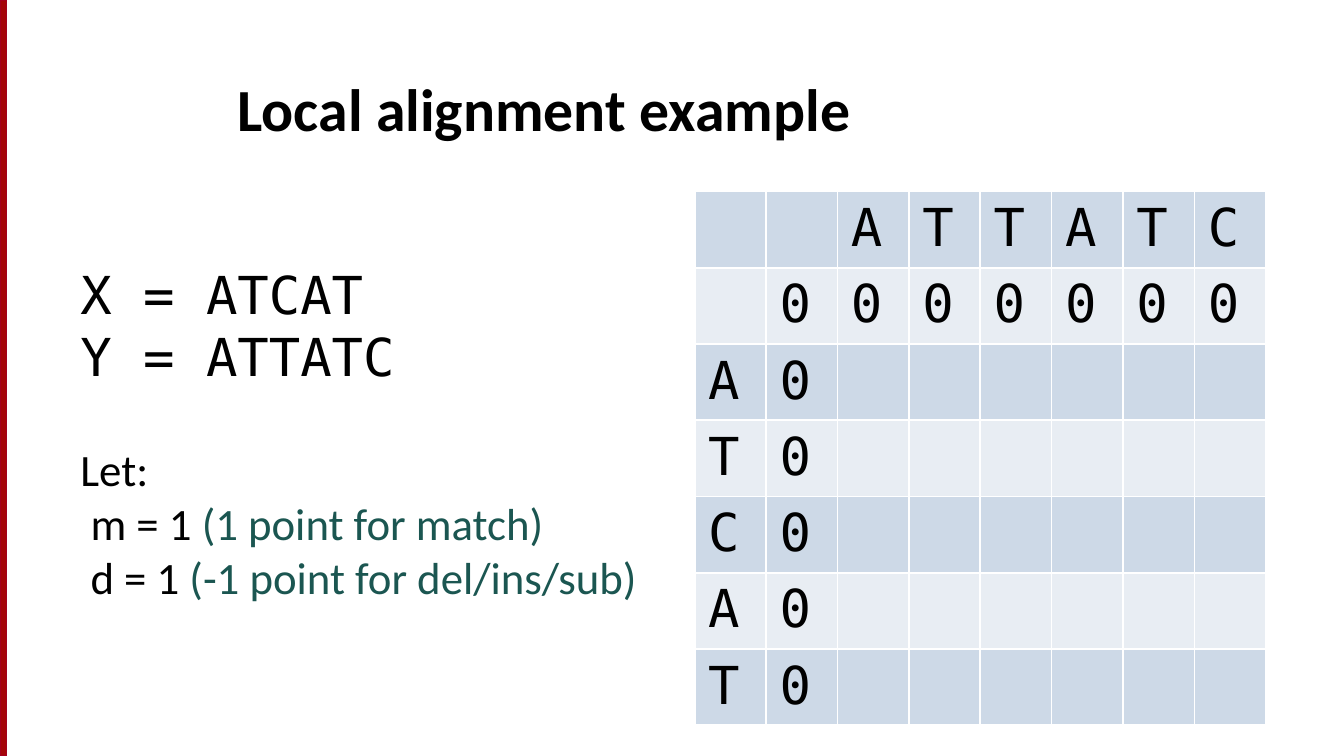
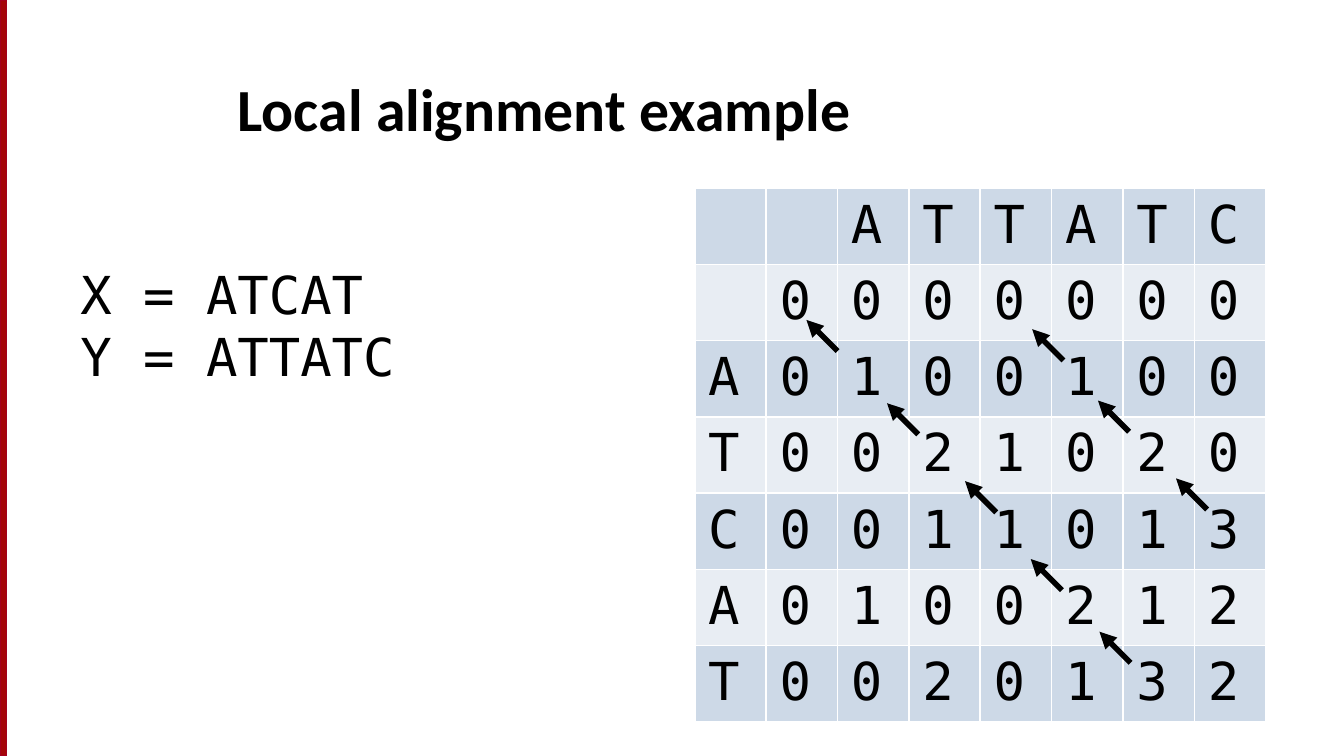
from dataclasses import dataclass

from lxml import etree
from pptx import Presentation
from pptx.dml.color import RGBColor
from pptx.enum import shapes, text
from pptx.oxml import ns
from pptx.util import Pt


@dataclass(frozen=True)
class Theme:
    """Colours, fonts and type sizes of the deck."""
    ink: str = "000000"
    note: str = "1B5651"
    stripe: str = "A40508"
    stripe_edge: str = "A4001D"
    grid_line: str = "FFFFFF"
    bands: tuple = ("CDD9E7", "E8EDF3")
    sans: str = "Calibri"
    mono: str = "DejaVu Sans Mono"
    title_size: float = 32
    sequence_size: float = 28
    body_size: float = 24


THEME = Theme()
WIDTH, HEIGHT = 720, 405
TITLE = "Local alignment example"
X, Y = "ATCAT", "ATTATC"
ROW_LABELS = " " + X
START_SCORES = ["0000000"] + ["0"] * len(X)
FULL_SCORES = ["0000000", "0100100", "0021020", "0011013", "0100212", "0020132"]
SCORING = [(" m = 1 ", "(1 point for match)"),
           (" d = 1 ", "(-1 point for del/ins/sub)")]
TRACEBACK_TIPS = [(257.8, 155.5), (216, 113.8), (180.8, 75.6), (216.8, 237.6),
                  (180, 198.7), (144.8, 157), (103, 115.2), (59.8, 70.6)]
ARROW_REACH = 16.7


def rgb(value):
    """Turn a hex string into a colour."""
    return RGBColor.from_string(value)


def style(run, face, size, color=THEME.ink, bold=False):
    """Format one run."""
    font = run.font
    font.name, font.size, font.bold = face, Pt(size), bold
    font.color.rgb = rgb(color)


def add_text(slide, box, anchor=text.MSO_ANCHOR.TOP):
    """Place a wrapping text box and return its frame."""
    frame = slide.shapes.add_textbox(*map(Pt, box)).text_frame
    frame.word_wrap = True
    frame.vertical_anchor = anchor
    return frame


def add_frame(slide, title_box):
    """Draw the side stripe and the title."""
    stripe = slide.shapes.add_shape(
        shapes.MSO_SHAPE.RECTANGLE, 0, 0, Pt(3.6), Pt(HEIGHT))
    stripe.shadow.inherit = False
    stripe.fill.solid()
    stripe.fill.fore_color.rgb = rgb(THEME.stripe)
    stripe.line.color.rgb = rgb(THEME.stripe_edge)
    stripe.line.width = Pt(0.75)
    title = add_text(slide, title_box, text.MSO_ANCHOR.BOTTOM).paragraphs[0]
    title.text = TITLE
    style(title.runs[0], THEME.sans, THEME.title_size, bold=True)


def border_cell(cell):
    """Give a cell thin borders on all four sides, ahead of its fill."""
    properties = cell._tc.get_or_add_tcPr()
    for index, side in enumerate(("lnL", "lnR", "lnT", "lnB")):
        line = etree.Element(ns.qn("a:" + side), w=str(Pt(1)))
        fill = etree.SubElement(line, ns.qn("a:solidFill"))
        etree.SubElement(fill, ns.qn("a:srgbClr"), val=THEME.grid_line)
        properties.insert(index, line)


def add_matrix(slide, box, scores, header_height):
    """Draw the score matrix with its sequence labels."""
    lines = ["  " + Y] + [label + row for label, row in zip(ROW_LABELS, scores)]
    columns = len(Y) + 2
    left, top, width, height = box
    table = slide.shapes.add_table(len(lines), columns, *map(Pt, box)).table
    table.first_row = table.horz_banding = False
    for column in table.columns:
        column.width = Pt(width / columns)
    for row_index, line in enumerate(lines):
        body_height = (height - header_height) / (len(lines) - 1)
        table.rows[row_index].height = Pt(body_height if row_index else header_height)
        for column_index, symbol in enumerate(line.ljust(columns)):
            cell = table.cell(row_index, column_index)
            cell.fill.solid()
            cell.fill.fore_color.rgb = rgb(THEME.bands[row_index % 2])
            border_cell(cell)
            if symbol.strip():
                cell.text_frame.text = symbol
                style(cell.text_frame.paragraphs[0].runs[0],
                      THEME.mono, THEME.sequence_size)


def add_traceback(slide, box):
    """Draw the diagonal traceback arrows over the matrix."""
    left, top = box[:2]
    for across, down in TRACEBACK_TIPS:
        x, y = left + across, top + down
        arrow = slide.shapes.add_connector(
            shapes.MSO_CONNECTOR.STRAIGHT,
            Pt(x + ARROW_REACH), Pt(y + ARROW_REACH), Pt(x), Pt(y))
        arrow.line.color.rgb = rgb(THEME.ink)
        arrow.line.width = Pt(3)
        etree.SubElement(arrow.line._get_or_add_ln(), ns.qn("a:tailEnd"), type="triangle")
        etree.SubElement(arrow._element.spPr, ns.qn("a:effectLst"))


def add_sequences(slide, box, scoring=()):
    """Write the two sequences and, if given, the scoring rules."""
    frame = add_text(slide, box)
    frame.auto_size = text.MSO_AUTO_SIZE.SHAPE_TO_FIT_TEXT
    frame.text = f"X = {X}\nY = {Y}"
    for paragraph in frame.paragraphs:
        style(paragraph.runs[0], THEME.mono, THEME.sequence_size)
    if scoring:
        intro = frame.add_paragraph()
        intro.text = "Let:"
        intro.space_before = Pt(29.3)
        style(intro.runs[0], THEME.sans, THEME.body_size)
    for rule, meaning in scoring:
        paragraph = frame.add_paragraph()
        for words, color in ((rule, THEME.ink), (meaning, THEME.note)):
            run = paragraph.add_run()
            run.text = words
            style(run, THEME.sans, THEME.body_size, color)


def build_slide(deck, matrix_box, header_height, scores, sequence_box,
                scoring=(), traced=False):
    """Build one alignment slide."""
    slide = deck.slides.add_slide(deck.slide_layouts[6])
    add_frame(slide, (120.2, 22.3, 588.2, 58.3))
    add_matrix(slide, matrix_box, scores, header_height)
    if traced:
        add_traceback(slide, matrix_box)
    add_sequences(slide, sequence_box, scoring)


def main():
    """Build and save the deck."""
    deck = Presentation()
    deck.slide_width, deck.slide_height = Pt(WIDTH), Pt(HEIGHT)
    build_slide(deck, (372.2, 102.6, 306, 284.4), 39.2, START_SCORES,
                (36, 136.8, 318.2, 191.5), scoring=SCORING)
    build_slide(deck, (372.2, 100.8, 306, 277.2), 39.6, FULL_SCORES,
                (36, 136.8, 234, 104.4), traced=True)
    deck.save("out.pptx")


main()
